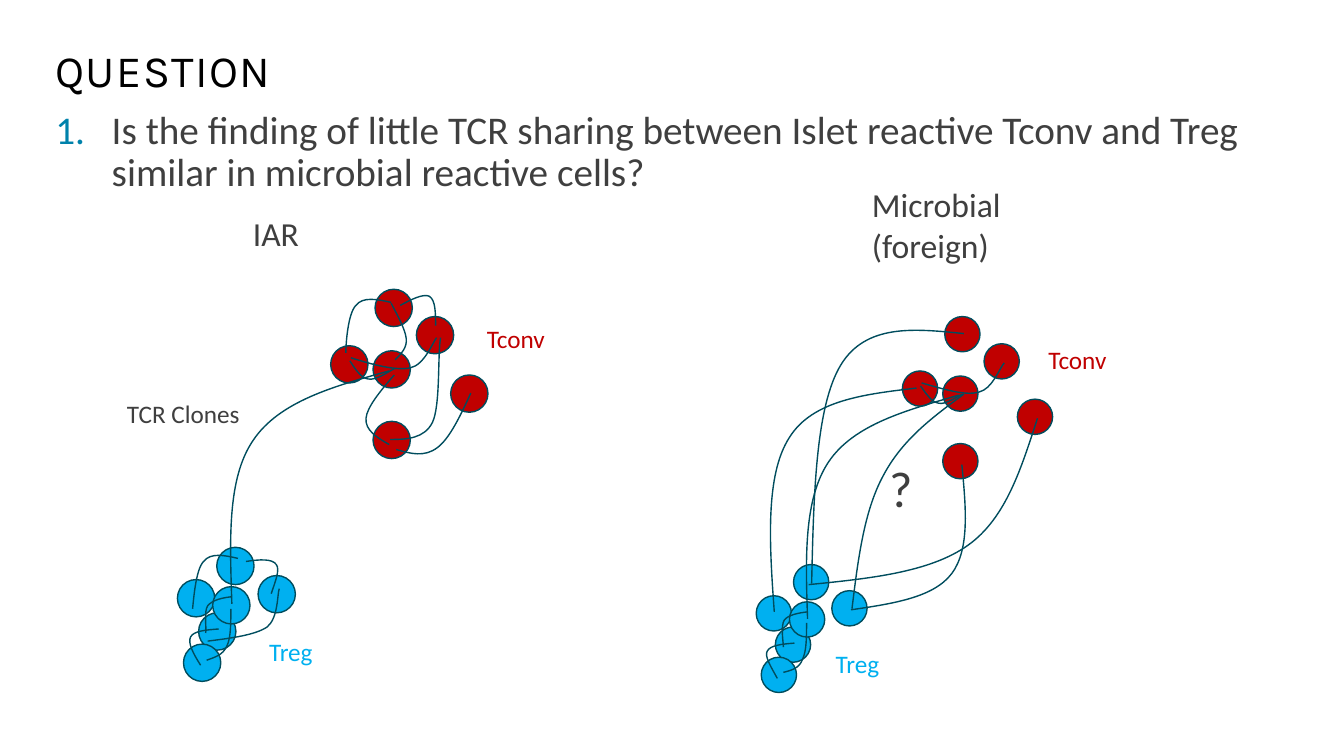
from lxml.etree import SubElement
from pptx import Presentation
from pptx.dml.color import RGBColor
from pptx.enum.shapes import MSO_SHAPE as SHAPE
from pptx.enum.text import MSO_ANCHOR as ANCHOR
from pptx.oxml.ns import qn
from pptx.util import Inches, Pt

COLORS = {"tconv": "C00000", "treg": "00B0F0", "line": "004D5E",
          "text": "3F3F3F", "title": "000000", "number": "0082AB"}

IAR_TCONV = [(3.72, 2.87), (3.28, 3.43), (4.47, 3.72), (3.7, 4.18), (3.7, 3.48), (4.13, 3.14)]
IAR_TREG = [(2.15, 5.43), (1.76, 5.75), (1.97, 6.08), (1.82, 6.39), (2.11, 5.82), (2.56, 5.71)]
MICROBIAL_TCONV = [(9.37, 3.14), (8.95, 3.68), (10.09, 3.96), (9.35, 4.4), (9.35, 3.73), (9.76, 3.41)]
MICROBIAL_TREG = [(7.87, 5.6), (7.5, 5.91), (7.69, 6.22), (7.55, 6.52), (7.83, 5.97), (8.25, 5.86)]

IAR_LINKS = [
    [(3.88, 3), (3.74, 2.97), (3.6, 2.94), (3.53, 3.03), (3.45, 3.11), (3.43, 3.42), (3.43, 3.5)],
    [(3.47, 3.58), (3.53, 3.67), (3.58, 3.75), (3.65, 3.76), (3.73, 3.78), (3.86, 3.68), (3.91, 3.66)],
    [(3.48, 3.55), (3.7, 3.62), (3.93, 3.68), (4.07, 3.65), (4.21, 3.62), (4.29, 3.4), (4.33, 3.35)],
    [(3.88, 3.01), (3.95, 3.14), (4.02, 3.27), (4.03, 3.36), (4.04, 3.45), (3.98, 3.51), (3.92, 3.57)],
    [(4.67, 3.9), (4.57, 4.12), (4.46, 4.35), (4.34, 4.44), (4.21, 4.54), (4.07, 4.5), (3.93, 4.46)],
    [(3.87, 4.36), (4.04, 4.36), (4.21, 4.35), (4.29, 4.19), (4.37, 4.02), (4.34, 3.51), (4.37, 3.35)],
    [(3.86, 4.41), (3.74, 4.34), (3.62, 4.27), (3.63, 4.15), (3.64, 4.04), (3.77, 3.88), (3.91, 3.72)],
    [(3.97, 3.03), (4.08, 2.97), (4.2, 2.91), (4.26, 2.94), (4.32, 2.98), (4.32, 3.11), (4.32, 3.23)],
    [(2.36, 5.54), (2.23, 5.51), (2.09, 5.48), (2.02, 5.57), (1.94, 5.65), (1.92, 5.96), (1.91, 6.04)],
    [(2.06, 6.36), (2.3, 6.33), (2.53, 6.3), (2.65, 6.22), (2.76, 6.13), (2.75, 5.9), (2.77, 5.84)],
    [(2.29, 6.04), (2.29, 6.18), (2.29, 6.33), (2.25, 6.41), (2.21, 6.5), (2.13, 6.52), (2.05, 6.55)],
    [(2.3, 5.92), (2.21, 5.93), (2.11, 5.95), (2.06, 6.01), (2.02, 6.07), (2.05, 6.23), (2.04, 6.28)],
    [(2.44, 5.57), (2.57, 5.55), (2.7, 5.54), (2.74, 5.6), (2.78, 5.65), (2.73, 5.77), (2.69, 5.89)],
    [(1.99, 6.6), (1.92, 6.49), (1.86, 6.38), (1.89, 6.32), (1.92, 6.26), (2.04, 6.25), (2.17, 6.24)],
    [(2.3, 5.99), (2.28, 5.37), (2.25, 4.75), (2.51, 4.37), (2.77, 3.98), (3.32, 3.83), (3.86, 3.68)],
]
MICROBIAL_LINKS = [
    [(9.13, 3.83), (9.19, 3.91), (9.24, 3.99), (9.31, 4), (9.38, 4.02), (9.51, 3.92), (9.55, 3.91)],
    [(9.14, 3.8), (9.36, 3.86), (9.57, 3.93), (9.71, 3.89), (9.84, 3.86), (9.91, 3.66), (9.96, 3.6)],
    [(8, 6.18), (8, 6.32), (8, 6.46), (7.96, 6.54), (7.93, 6.63), (7.85, 6.65), (7.77, 6.67)],
    [(8.01, 6.07), (7.92, 6.08), (7.82, 6.1), (7.78, 6.15), (7.74, 6.21), (7.77, 6.37), (7.77, 6.42)],
    [(7.71, 6.73), (7.65, 6.62), (7.58, 6.51), (7.61, 6.46), (7.64, 6.4), (7.76, 6.39), (7.88, 6.38)],
    [(8.01, 6.14), (7.99, 5.54), (7.97, 4.95), (8.22, 4.58), (8.47, 4.21), (8.99, 4.07), (9.51, 3.92)],
    [(8.44, 6.05), (8.85, 5.99), (9.26, 5.93), (9.44, 5.69), (9.62, 5.45), (9.58, 5.03), (9.54, 4.61)],
    [(7.68, 6.07), (7.63, 5.39), (7.59, 4.71), (7.83, 4.34), (8.06, 3.97), (8.58, 3.91), (9.09, 3.85)],
    [(8.02, 5.8), (8.62, 5.74), (9.22, 5.68), (9.6, 5.41), (9.98, 5.14), (10.13, 4.64), (10.29, 4.15)],
    [(8.05, 5.79), (8.07, 4.91), (8.09, 4.03), (8.34, 3.62), (8.59, 3.21), (9.07, 3.26), (9.56, 3.31)],
    [(8.45, 6.04), (8.51, 5.55), (8.57, 5.07), (8.76, 4.72), (8.95, 4.36), (9.25, 4.14), (9.56, 3.91)],
]


def rgb(name):
    """Return the named colour."""
    return RGBColor.from_string(COLORS[name])


def add_text(shapes, text, box, size, color="text", font="Calibri", wrap=True):
    """Add a text box and return its shape."""
    sp = shapes.add_textbox(*map(Inches, box))
    tf = sp.text_frame
    tf.word_wrap = wrap
    p = tf.paragraphs[0]
    r = p.add_run()
    r.text = text
    for name, value in {"size": Pt(size), "name": font}.items():
        setattr(r.font, name, value)
    r.font.color.rgb = rgb(color)
    return sp


def add_title(s, text):
    """Add the letter-spaced slide title."""
    sp = add_text(s.shapes, text, (0.45, 0.4, 12.43, 0.65), 32, "title", "Karla")
    tf = sp.text_frame
    tf.vertical_anchor = ANCHOR.MIDDLE
    p = tf.paragraphs[0]
    p.line_spacing = 0.9
    p.runs[0].font._element.set("spc", "100")


def add_question(s, text):
    """Add the numbered question."""
    sp = add_text(s.shapes, text, (0.45, 1.05, 12.42, 4.94), 28)
    p = sp.text_frame.paragraphs[0]
    p.line_spacing = 0.9
    pPr = p._p.get_or_add_pPr()
    pPr.set("marL", str(Inches(0.56)))
    pPr.set("indent", str(Inches(-0.56)))
    color = SubElement(pPr, qn("a:buClr"))
    SubElement(color, qn("a:srgbClr"), val=COLORS["number"])
    SubElement(pPr, qn("a:buFont"), typeface="+mj-lt")
    SubElement(pPr, qn("a:buAutoNum"), type="arabicPeriod")


def outline(sp):
    """Give a shape the common thin line without shadow."""
    sp.shadow.inherit = False
    sp.line.color.rgb = rgb("line")
    sp.line.width = Pt(1)


def add_cells(shapes, places, size, color):
    """Add one circle for each cell."""
    for left, top in places:
        sp = shapes.add_shape(SHAPE.OVAL, *map(Inches, (left, top, size, size)))
        sp.fill.solid()
        sp.fill.fore_color.rgb = rgb(color)
        outline(sp)


def add_link(shapes, points):
    """Add an open curve of cubic pieces through the given control points."""
    start, *rest = [(Inches(x), Inches(y)) for x, y in points]
    builder = shapes.build_freeform(*start)
    builder.add_line_segments(rest, close=False)
    sp = builder.convert_to_shape()
    sp.fill.background()
    outline(sp)
    track = sp._element.find(".//" + qn("a:path"))
    lines = track.findall(qn("a:lnTo"))
    for i in range(0, len(lines), 3):
        curve = SubElement(track, qn("a:cubicBezTo"))
        for line in lines[i:i + 3]:
            curve.append(line[0])
            track.remove(line)


def main():
    """Build and save the slide."""
    prs = Presentation()
    prs.slide_width, prs.slide_height = Inches(13.33), Inches(7.5)
    s = prs.slides.add_slide(prs.slide_layouts[6])
    add_question(s, "Is the finding of little TCR sharing between Islet reactive "
                    "Tconv and Treg similar in microbial reactive cells?")
    add_title(s, "QUESTION")
    add_text(s.shapes, "IAR", (2.41, 2.06, 0.66, 0.5), 24, wrap=False)
    add_text(s.shapes, "Microbial (foreign)", (8.55, 1.78, 2.51, 0.91), 24)

    for places, color in ((IAR_TCONV, "tconv"), (IAR_TREG, "treg")):
        add_cells(s.shapes.add_group_shape().shapes, places, 0.37, color)
    for points in IAR_LINKS:
        add_link(s.shapes, points)

    microbial = s.shapes.add_group_shape().shapes
    add_cells(microbial, MICROBIAL_TCONV, 0.35, "tconv")
    add_cells(microbial, MICROBIAL_TREG, 0.35, "treg")
    for points in MICROBIAL_LINKS:
        add_link(microbial, points)
    add_text(microbial, "?", (8.72, 4.49, 0.52, 0.99), 36)

    for text, left, top, color in (("TCR Clones", 1.16, 3.9, "text"),
                                   ("Treg", 2.57, 6.26, "treg"),
                                   ("Tconv", 4.73, 3.16, "tconv"),
                                   ("Treg", 8.19, 6.38, "treg"),
                                   ("Tconv", 10.3, 3.37, "tconv")):
        add_text(s.shapes, text, (left, top, 1.51, 0.4), 18, color)
    prs.save("out.pptx")


if __name__ == "__main__":
    main()
